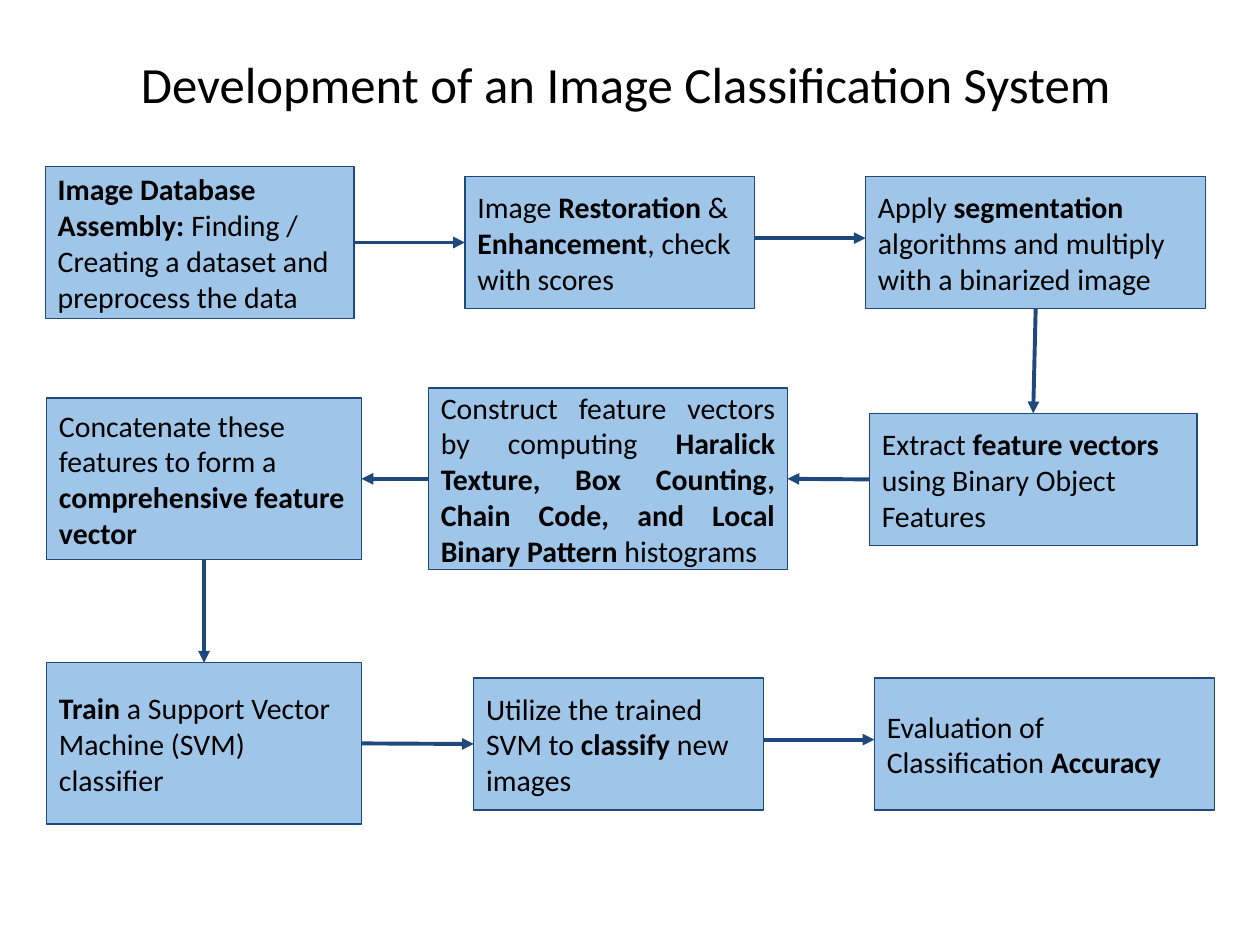
from dataclasses import dataclass
from itertools import pairwise

from lxml.etree import SubElement
from pptx import Presentation
from pptx.dml.color import RGBColor
from pptx.enum.shapes import MSO_CONNECTOR as CONN, MSO_SHAPE as SHAPE
from pptx.enum.text import MSO_ANCHOR as ANCHOR, PP_ALIGN as ALIGN
from pptx.oxml.ns import qn
from pptx.util import Inches, Pt

TOP, LEFT, BOTTOM, RIGHT = range(4)


def rgb(value):
    return RGBColor.from_string(value)


@dataclass
class FlowSlide:
    """Style and drawing methods on a grid of 100 columns by 75 rows."""
    prs: object
    s: object
    font: str = "Calibri"
    ink: str = "000000"
    fill: str = "9FC5E8"
    edge: str = "1F497D"

    def x(self, cols):
        return round(self.prs.slide_width * cols / 100)

    def y(self, rows):
        return round(self.prs.slide_height * rows / 75)

    def area(self, col, row, cols, rows):
        return self.x(col), self.y(row), self.x(cols), self.y(rows)

    def set_text(self, sp, text, size, align, anchor):
        tf = sp.text_frame
        tf.word_wrap = True
        tf.vertical_anchor = anchor
        tf.margin_left = tf.margin_right = Inches(0.1)
        tf.margin_top = tf.margin_bottom = Inches(0.1)
        p = tf.paragraphs[0]
        p.alignment = align
        p.font.name, p.font.size = self.font, Pt(size)
        p.font.color.rgb = rgb(self.ink)
        for i, part in enumerate(text.split("**")):
            if part:
                r = p.add_run()
                r.text = part
                r.font.bold = i % 2 == 1

    def title(self, text, *cell):
        sp = self.s.shapes.add_textbox(*self.area(*cell))
        self.set_text(sp, text, 29, ALIGN.LEFT, ANCHOR.TOP)

    def box(self, text, *cell, align=ALIGN.LEFT):
        sp = self.s.shapes.add_shape(SHAPE.RECTANGLE, *self.area(*cell))
        sp.shadow.inherit = False
        sp.fill.solid()
        sp.fill.fore_color.rgb = rgb(self.fill)
        sp.line.color.rgb = rgb(self.edge)
        sp.line.width = Pt(0.75)
        self.set_text(sp, text, 17, align, ANCHOR.MIDDLE)
        return sp

    def arrow(self, start, end, sides, row=None):
        if row is None:
            line = self.s.shapes.add_connector(CONN.STRAIGHT, 0, 0, 0, 0)
            line.begin_connect(start, sides[0])
            line.end_connect(end, sides[1])
        else:
            y = self.y(row)
            line = self.s.shapes.add_connector(
                CONN.STRAIGHT, start.left + start.width, y, end.left, y)
        line.line.color.rgb = rgb(self.edge)
        line.line.width = Pt(2.25)
        props = line._element.spPr
        SubElement(props.get_or_add_ln(), qn("a:tailEnd"), type="triangle")
        SubElement(props, qn("a:effectLst"))


STEPS = [
    ("**Image Database Assembly: **Finding / Creating a dataset and preprocess the data",
     3.6, 13.2, 24.5, 12.1),
    ("Image **Restoration **& **Enhancement**, check with scores", 36.9, 14, 23, 10.5),
    ("Apply **segmentation **algorithms and multiply with a binarized image",
     68.7, 14, 27, 10.5),
    ("Extract **feature vectors **using Binary Object Features", 69, 32.8, 26, 10.5),
    ("Construct feature vectors by computing **Haralick Texture, Box Counting, "
     "Chain Code, and Local Binary Pattern** histograms", 34, 30.8, 28.5, 14.4),
    ("Concatenate these features to form a **comprehensive feature vector**",
     3.7, 31.6, 25, 12.8),
    ("**Train **a Support Vector Machine (SVM) classifier", 3.7, 52.6, 25, 12.8),
    ("Utilize the trained SVM to **classify **new images", 37.6, 53.8, 23, 10.5),
    ("Evaluation of Classification **Accuracy**", 69.4, 53.8, 27, 10.5),
]
EAST, WEST, SOUTH = (RIGHT, LEFT), (LEFT, RIGHT), (BOTTOM, TOP)
ROUTE = [EAST, EAST, SOUTH, WEST, WEST, SOUTH, EAST, EAST]
OFF_CENTRE_ROWS = {1: 18.9, 7: 58.7}
JUSTIFIED_STEP = 4


def main():
    prs = Presentation()
    prs.slide_width, prs.slide_height = Inches(10), Inches(7.5)
    flow = FlowSlide(prs, prs.slides.add_slide(prs.slide_layouts[6]))
    flow.title("Development of an Image Classification System", 10.2, 3.2, 79.3, 6.8)
    boxes = [flow.box(*step, align=ALIGN.JUSTIFY if i == JUSTIFIED_STEP else ALIGN.LEFT)
             for i, step in enumerate(STEPS)]
    for i, (start, end) in enumerate(pairwise(boxes)):
        flow.arrow(start, end, ROUTE[i], OFF_CENTRE_ROWS.get(i))
    prs.save("out.pptx")


if __name__ == "__main__":
    main()
